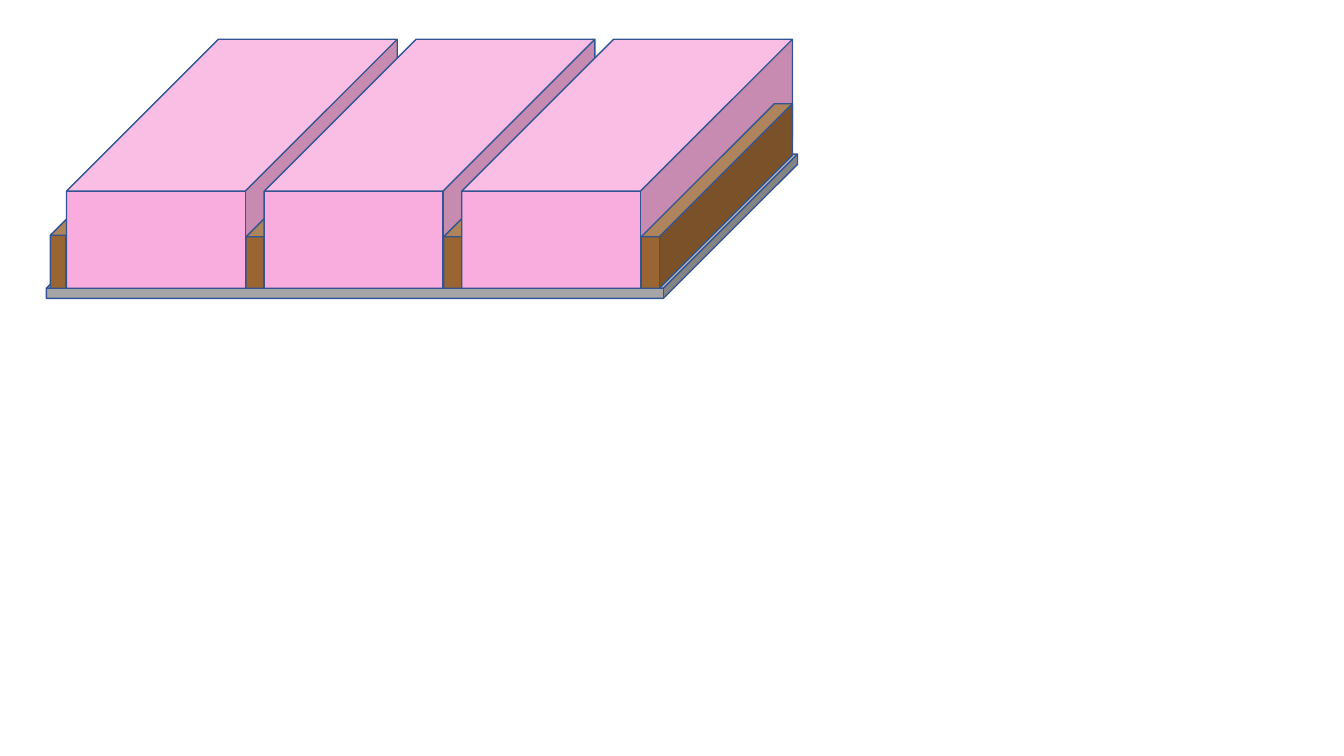
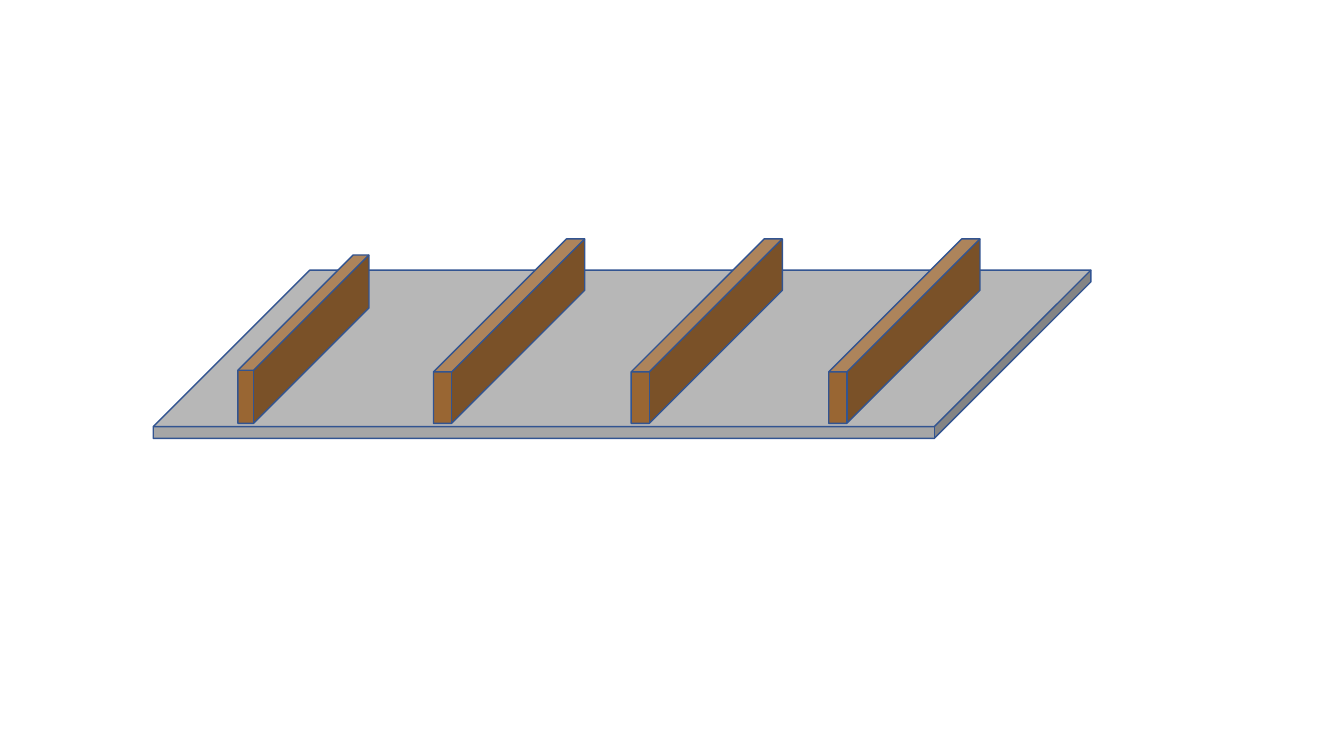
from dataclasses import dataclass

from pptx import Presentation
from pptx.dml.color import RGBColor
from pptx.enum.shapes import MSO_SHAPE
from pptx.util import Inches, Pt


@dataclass(frozen=True)
class Theme:
    plate: str = "A6A6A6"
    divider: str = "996633"
    block: str = "F9ADDE"
    outline: str = "325491"
    outline_width: float = 1


@dataclass(frozen=True)
class Box:
    left: float
    top: float
    width: float
    height: float

    @property
    def bottom(self):
        return self.top + self.height


THEME = Theme()
PITCH = 1.96
BLOCK_COUNT = 3
END_DIVIDER_SIZE = (1.3, 1.67)
DIVIDER_SIZE = (1.5, 1.83)
BLOCK_SIZE = (3.28, 2.47)
FIRST_DIVIDER_OFFSET = 1.94
FIRST_BLOCK_OFFSET = 0.16
PLATE_DEPTH = 0.93
DIVIDER_DEPTH = 0.88
BLOCK_DEPTH = 0.61


def add_cube(slide, box, depth, color):
    shape = slide.shapes.add_shape(
        MSO_SHAPE.CUBE,
        Inches(box.left), Inches(box.top), Inches(box.width), Inches(box.height),
    )
    shape.adjustments[0] = depth
    shape.shadow.inherit = False
    shape.fill.solid()
    shape.fill.fore_color.rgb = RGBColor.from_string(color)
    shape.line.color.rgb = RGBColor.from_string(THEME.outline)
    shape.line.width = Pt(THEME.outline_width)


def add_standing_cube(slide, left, base, size, depth, color):
    width, height = size
    add_cube(slide, Box(left, base - height, width, height), depth, color)


def add_tray(slide, plate, inset, rise, with_blocks):
    start = plate.left + inset
    base = plate.bottom - rise
    add_cube(slide, plate, PLATE_DEPTH, THEME.plate)
    add_standing_cube(slide, start, base, END_DIVIDER_SIZE, DIVIDER_DEPTH, THEME.divider)
    for index in range(BLOCK_COUNT):
        left = start + index * PITCH
        if with_blocks:
            add_standing_cube(slide, left + FIRST_BLOCK_OFFSET, base,
                              BLOCK_SIZE, BLOCK_DEPTH, THEME.block)
        add_standing_cube(slide, left + FIRST_DIVIDER_OFFSET, base,
                          DIVIDER_SIZE, DIVIDER_DEPTH, THEME.divider)


def main():
    presentation = Presentation()
    presentation.slide_width = Inches(13.33)
    presentation.slide_height = Inches(7.5)
    blank = presentation.slide_layouts[6]

    filled_slide = presentation.slides.add_slide(blank)
    add_tray(filled_slide, Box(0.46, 1.53, 7.45, 1.43),
             inset=0.04, rise=0.1, with_blocks=True)

    empty_slide = presentation.slides.add_slide(blank)
    add_tray(empty_slide, Box(1.52, 2.68, 9.3, 1.67),
             inset=0.84, rise=0.15, with_blocks=False)

    presentation.save("out.pptx")


if __name__ == "__main__":
    main()
